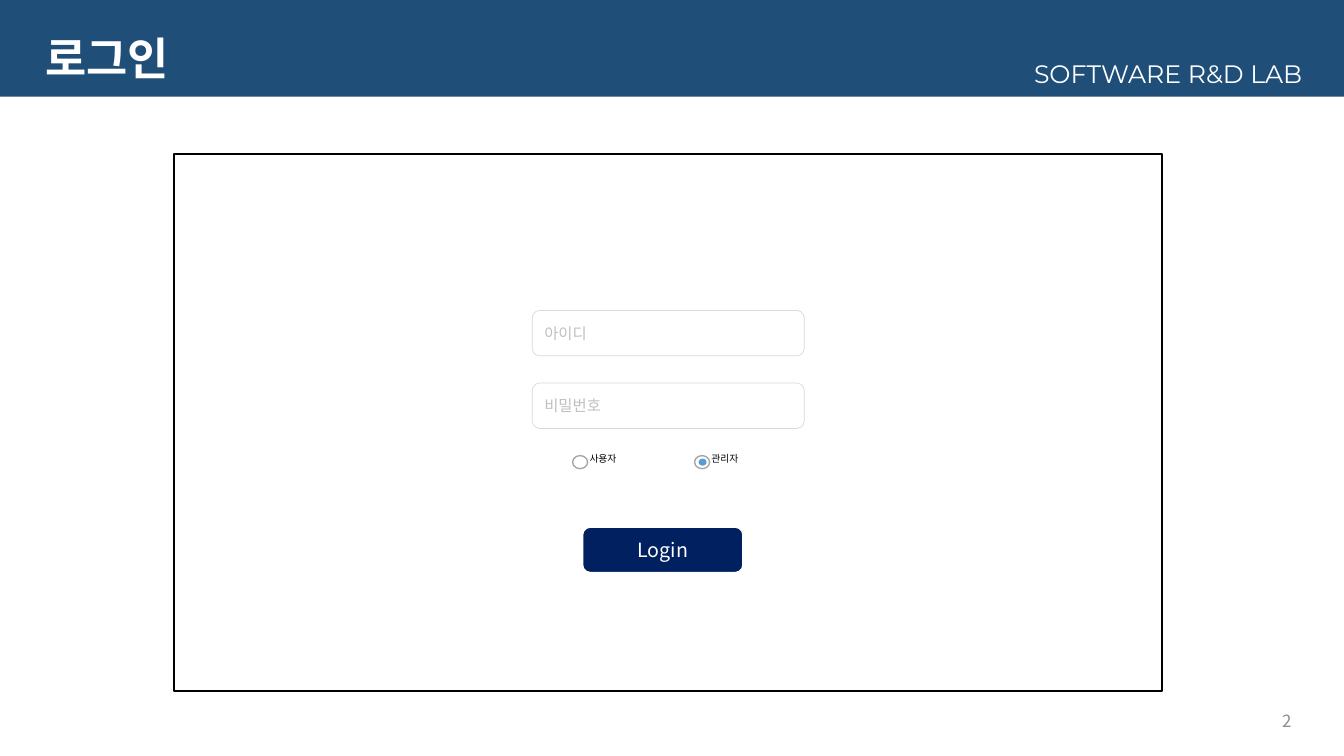
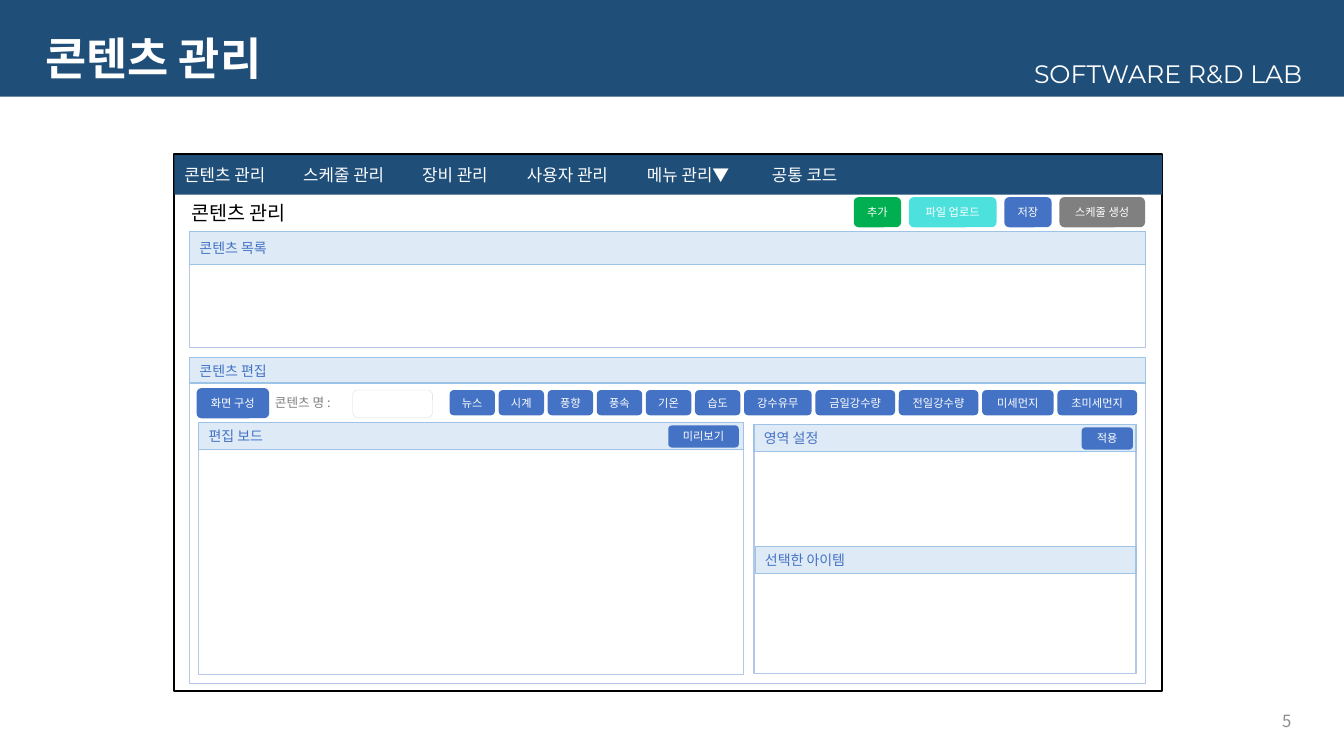
from dataclasses import dataclass

from lxml import etree
from pptx import Presentation
from pptx.dml.color import RGBColor
from pptx.enum.shapes import MSO_SHAPE
from pptx.enum.text import MSO_ANCHOR, PP_ALIGN
from pptx.oxml.ns import qn
from pptx.util import Inches, Pt

RECTANGLE = MSO_SHAPE.RECTANGLE
ROUNDED = MSO_SHAPE.ROUNDED_RECTANGLE
ELLIPSE = MSO_SHAPE.OVAL
LEFT, CENTER, RIGHT = PP_ALIGN.LEFT, PP_ALIGN.CENTER, PP_ALIGN.RIGHT
TOP, MIDDLE = MSO_ANCHOR.TOP, MSO_ANCHOR.MIDDLE

KOREAN_FONT = "Noto Sans CJK KR"
LATIN_FONT = "Montserrat"

WHITE = "FFFFFF"
BLACK = "000000"
BAND_BLUE = "1F4E79"
NAVY = "002060"
BUTTON_BLUE = "4472C4"
GREEN = "00B050"
TURQUOISE = "4DE1DD"
DOT_BLUE = "5B9BD5"
HEADER_FILL = "DEEBF7"
HEADER_LINE = "9DC3E6"
PANEL_LINE = "B4C7E7"
GRAY = "808080"
PAGE_GRAY = "8C8C8C"
RADIO_GRAY = "A6A6A6"
HINT_GRAY = "BFBFBF"
FIELD_GRAY = "D9D9D9"

CELL = 0.1  # inches per grid column and row

MENU_ITEMS = ["콘텐츠 관리", "스케줄 관리", "장비 관리", "사용자 관리", "메뉴 관리▼", "공통 코드"]
MENU_TABS = [11.8, 23.6, 34, 45.9, 58.3]
ACTIONS = [
    ("추가", 4.7, GREEN),
    ("파일 업로드", 8.7, TURQUOISE),
    ("저장", 4.7, BUTTON_BLUE),
    ("스케줄 생성", 8.5, GRAY),
]
ITEMS = [(name, 4.5, BUTTON_BLUE) for name in ("뉴스", "시계", "풍향", "풍속", "기온", "습도")] + [
    ("강수유무", 6.7, BUTTON_BLUE),
    ("금일강수량", 7.9, BUTTON_BLUE),
    ("전일강수량", 7.9, BUTTON_BLUE),
    ("미세먼지", 7.1, BUTTON_BLUE),
    ("초미세먼지", 7.9, BUTTON_BLUE),
]


def grid(cells):
    return Inches(cells * CELL)


def color(value):
    return RGBColor.from_string(value)


@dataclass
class Box:
    """An area in grid columns and rows, measured from the slide corner."""
    left: float
    top: float
    width: float
    height: float

    def area(self, column, row, columns, rows):
        return Box(self.left + column, self.top + row, columns, rows)

    def lengths(self):
        return [grid(cells) for cells in (self.left, self.top, self.width, self.height)]


SLIDE = Box(0, 0, 133.33, 75)
FRAME = SLIDE.area(17.3, 15.3, 98, 53.3)


def write(frame, text, size=10, ink=BLACK, font=KOREAN_FONT, bold=False,
          align=LEFT, anchor=MIDDLE, spacing=None, tabs=()):
    frame.word_wrap = True
    frame.vertical_anchor = anchor
    paragraph = frame.paragraphs[0]
    paragraph.alignment = align
    if spacing:
        paragraph.line_spacing = spacing
    if tabs:
        tab_list = etree.SubElement(paragraph._p.get_or_add_pPr(), qn("a:tabLst"))
        for position in tabs:
            etree.SubElement(tab_list, qn("a:tab"), pos=str(grid(position)), algn="l")
    run = paragraph.add_run()
    run.text = text
    run.font.size = Pt(size)
    run.font.bold = bold
    run.font.color.rgb = color(ink)
    run.font.name = font
    etree.SubElement(run._r.get_or_add_rPr(), qn("a:ea"), typeface=font)


def add_label(slide, box, text, **text_format):
    write(slide.shapes.add_textbox(*box.lengths()).text_frame, text, **text_format)


def add_block(slide, box, kind=RECTANGLE, fill=None, line=None, weight=0.75,
              text=None, **text_format):
    shape = slide.shapes.add_shape(kind, *box.lengths())
    shape.shadow.inherit = False
    if fill:
        shape.fill.solid()
        shape.fill.fore_color.rgb = color(fill)
    else:
        shape.fill.background()
    if line:
        shape.line.color.rgb = color(line)
        shape.line.width = Pt(weight)
    else:
        shape.line.fill.background()
    if text:
        write(shape.text_frame, text, **text_format)


def add_button(slide, box, text, fill=BUTTON_BLUE, size=8, line=None):
    add_block(slide, box, ROUNDED, fill, line, weight=1,
              text=text, size=size, ink=WHITE, align=CENTER)


def add_button_row(slide, box, buttons):
    """Spread buttons over the box with equal gaps."""
    gap = (box.width - sum(width for _, width, _ in buttons)) / (len(buttons) - 1)
    column = 0
    for text, width, fill in buttons:
        add_button(slide, box.area(column, 0, width, box.height), text, fill)
        column += width + gap


def add_panel_header(slide, box, text):
    add_block(slide, box, fill=HEADER_FILL, line=HEADER_LINE, text=text, ink=BUTTON_BLUE)


def add_panel(slide, box, text, header_rows):
    add_block(slide, box, fill=WHITE, line=PANEL_LINE)
    add_panel_header(slide, box.area(0, 0, box.width, header_rows), text)


def add_field(slide, box, hint):
    add_block(slide, box, ROUNDED, line=FIELD_GRAY, weight=0.5,
              text=hint, size=11, ink=HINT_GRAY)


def add_radio(slide, box, text, selected=False):
    add_block(slide, box.area(0, 0.8, 1.5, 1.3), ELLIPSE, WHITE, RADIO_GRAY, 1)
    if selected:
        add_block(slide, box.area(0.4, 1.1, 0.8, 0.7), ELLIPSE, DOT_BLUE)
    add_label(slide, box.area(0.7, 0, box.width, box.height), text, size=7, anchor=TOP)


def add_page(presentation, title, number):
    """Add a slide with the shared band, title, page number and screen frame."""
    slide = presentation.slides.add_slide(presentation.slide_layouts[6])
    add_block(slide, SLIDE.area(0, 0, SLIDE.width, 9.6), fill=BAND_BLUE)
    add_label(slide, SLIDE.area(101.6, 5.3, 31.6, 4), "SOFTWARE R&D LAB",
              size=18, ink=WHITE, font=LATIN_FONT, anchor=TOP)
    add_label(slide, SLIDE.area(3.5, 2.6, 115, 6.9), title,
              size=32, ink=WHITE, bold=True, spacing=0.9)
    add_label(slide, SLIDE.area(99.1, 69.5, 30, 4), str(number),
              size=12, ink=PAGE_GRAY, align=RIGHT)
    add_block(slide, FRAME, line=BLACK, weight=1.5)
    return slide


def add_login_form(slide, box):
    for index, hint in enumerate(("아이디", "비밀번호")):
        add_field(slide, box.area(0, 7.2 * index, 27, 4.5), hint)
    for index, text in enumerate(("사용자", "관리자")):
        add_radio(slide, box.area(4 + 12.1 * index, 13.6, 8.1, 3), text, selected=index == 1)
    add_button(slide, box.area(5, 21.5, 15.9, 4.5), "Login", NAVY, size=14, line=WHITE)


def add_screen_top(slide, box):
    add_block(slide, box.area(0, 0.1, box.width, 3.9), fill=BAND_BLUE,
              text="\t".join(MENU_ITEMS), size=12, ink=WHITE, tabs=MENU_TABS)
    add_label(slide, box.area(0.7, 4.1, 12.5, 3.4), "콘텐츠 관리", size=14, anchor=TOP)
    add_button_row(slide, box.area(67.4, 4.25, 28.9, 3), ACTIONS)


def add_toolbar(slide, box):
    add_button(slide, box.area(0, 0, 7.2, 3), "화면 구성")
    add_label(slide, box.area(6.8, 0.2, 8.6, 2.5), "콘텐츠 명 :", size=9, ink=GRAY, anchor=TOP)
    add_block(slide, box.area(15.5, 0.2, 7.9, 2.7), ROUNDED, WHITE, FIELD_GRAY, 0.25)
    add_button_row(slide, box.area(25.1, 0.2, 68.2, 2.5), ITEMS)


def add_editor(slide, box):
    add_panel(slide, box, "콘텐츠 편집", 2.5)
    add_toolbar(slide, box.area(0.7, 3, 93.3, 3))
    board = box.area(0.9, 6.4, 54.1, 25)
    add_panel(slide, board, "편집 보드", 2.7)
    add_button(slide, board.area(46.6, 0.3, 7, 2.2), "미리보기")
    settings = box.area(56, 6.6, 37.9, 24.7)
    add_panel(slide, settings, "영역 설정", 2.7)
    add_button(slide, settings.area(32.5, 0.3, 5.1, 2.2), "적용")
    add_panel_header(slide, settings.area(0.1, 12.1, 37.8, 2.7), "선택한 아이템")


def build_login(presentation):
    slide = add_page(presentation, "로그인", 2)
    add_login_form(slide, FRAME.area(35.5, 15.5, 27, 26))


def build_content_management(presentation):
    slide = add_page(presentation, "콘텐츠 관리", 5)
    add_screen_top(slide, FRAME)
    add_panel(slide, FRAME.area(1.5, 7.7, 94.8, 11.5), "콘텐츠 목록", 3.2)
    add_editor(slide, FRAME.area(1.5, 20.2, 94.8, 32.3))


def main():
    presentation = Presentation()
    presentation.slide_width = grid(SLIDE.width)
    presentation.slide_height = grid(SLIDE.height)
    build_login(presentation)
    build_content_management(presentation)
    presentation.save("out.pptx")


if __name__ == "__main__":
    main()
